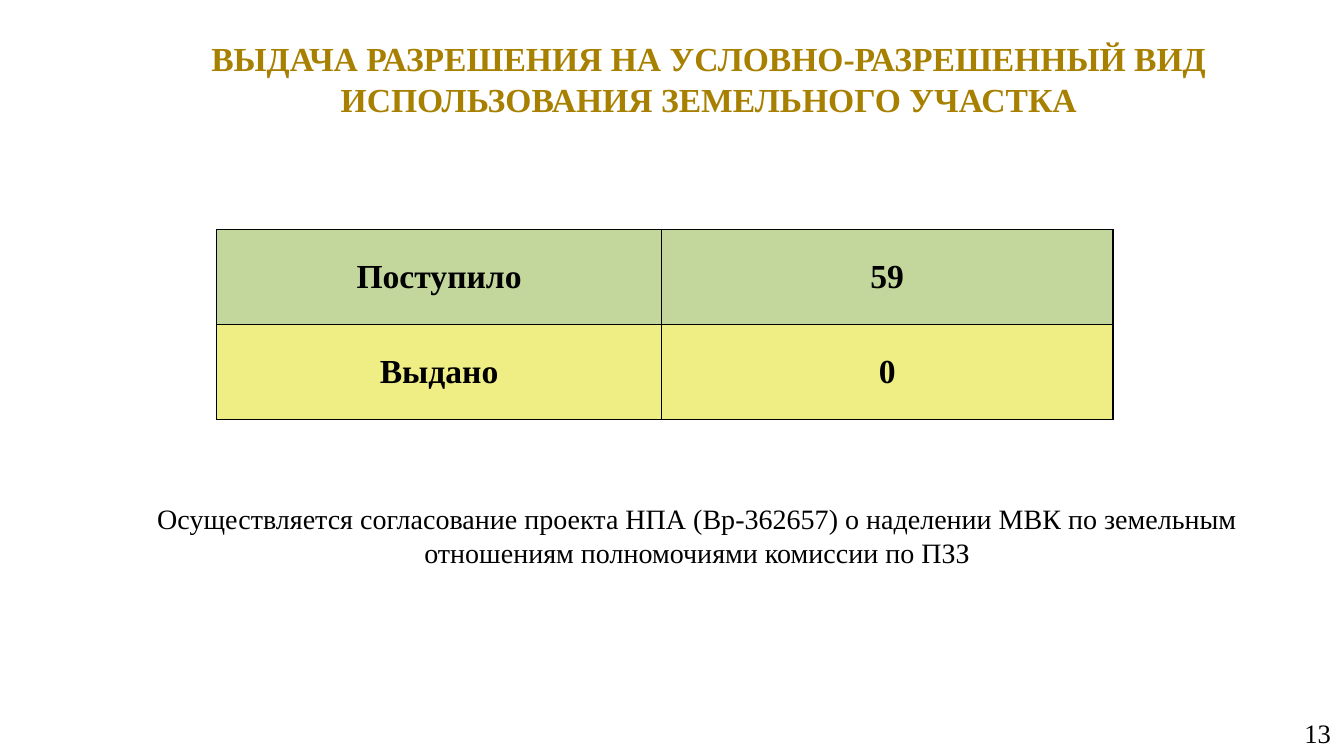
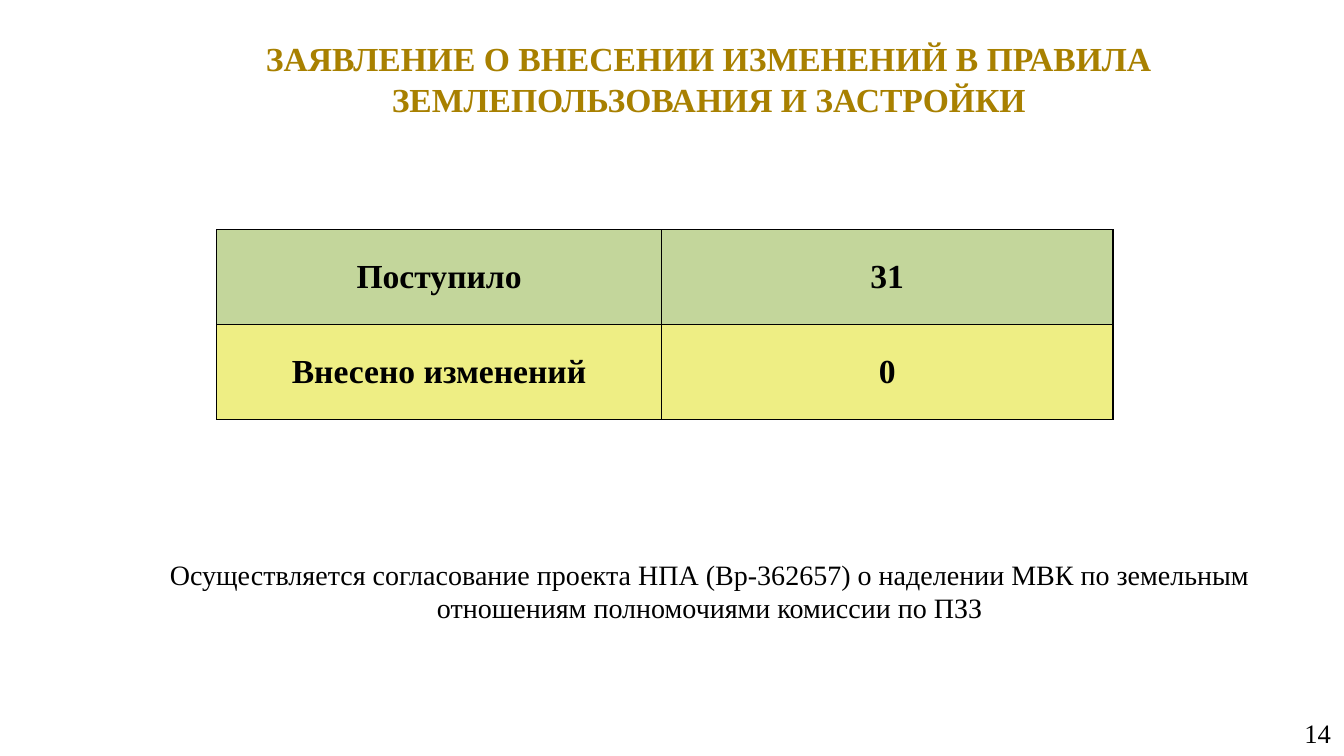
from lxml import etree
from pptx import Presentation
from pptx.dml.color import RGBColor
from pptx.enum.text import MSO_ANCHOR as ANCHOR, PP_ALIGN as ALIGN
from pptx.oxml.ns import qn
from pptx.util import Inches, Pt

# Shared style
FONT = "Times New Roman"
GOLD = RGBColor(0xA8, 0x80, 0x00)
BLACK = RGBColor(0x00, 0x00, 0x00)
GREEN = RGBColor(0xC3, 0xD6, 0x9B)
YELLOW = RGBColor(0xEE, 0xEE, 0x84)
TITLE_BOX = (1.31, 0.28, 11.44, 1)
NUMBER_BOX = (10.22, 7.07, 3.11, 0.4)
TABLE_BOX = (2.15, 2.28, 8.89, 1.88)
COL_WIDTHS = (4.41, 4.48)
BORDER = Pt(0.96)

NOTE = ("Осуществляется согласование проекта НПА (Вр-362657) о наделении МВК "
        "по земельным отношениям полномочиями комиссии по ПЗЗ")

# Number, title, table rows, note box
SLIDES = [
    (13, "ВЫДАЧА РАЗРЕШЕНИЯ НА УСЛОВНО-РАЗРЕШЕННЫЙ ВИД ИСПОЛЬЗОВАНИЯ ЗЕМЕЛЬНОГО УЧАСТКА",
     [("Поступило", "59"), ("Выдано", "0")], (0.96, 4.93, 11.91, 0.76)),
    (14, "ЗАЯВЛЕНИЕ О ВНЕСЕНИИ ИЗМЕНЕНИЙ В ПРАВИЛА ЗЕМЛЕПОЛЬЗОВАНИЯ И ЗАСТРОЙКИ",
     [("Поступило", "31"), ("Внесено изменений", "0")], (1.01, 4.97, 12.06, 1.78)),
]


def write(tf, text, size, color=BLACK, bold=False, align=ALIGN.CENTER):
    p = tf.paragraphs[0]
    p.alignment = align
    r = p.add_run()
    r.text = text
    r.font.name = FONT
    r.font.size = Pt(size)
    r.font.bold = bold
    r.font.color.rgb = color


def add_text(s, box, text, size, **style):
    tf = s.shapes.add_textbox(*map(Inches, box)).text_frame
    tf.word_wrap = True
    tf.vertical_anchor = ANCHOR.MIDDLE
    tf.margin_left = tf.margin_right = Inches(0.13)
    tf.margin_top = tf.margin_bottom = Inches(0.07)
    write(tf, text, size, **style)


prs = Presentation()
prs.slide_width, prs.slide_height = Inches(13.33), Inches(7.5)

for number, title, rows, note_box in SLIDES:
    s = prs.slides.add_slide(prs.slide_layouts[6])

    # Title and slide number
    add_text(s, TITLE_BOX, title, 24, color=GOLD, bold=True)
    add_text(s, NUMBER_BOX, str(number), 19, align=ALIGN.RIGHT)

    # Table of applications
    table = s.shapes.add_table(2, 2, *map(Inches, TABLE_BOX)).table
    table.first_row = table.horz_banding = False
    for col, width in zip(table.columns, COL_WIDTHS):
        col.width = Inches(width)
    for row, texts, fill in zip(table.rows, rows, (GREEN, YELLOW)):
        for cell, text in zip(row.cells, texts):
            cell.vertical_anchor = ANCHOR.MIDDLE
            cell.margin_left = cell.margin_right = Inches(0.13)
            cell.margin_top = cell.margin_bottom = Inches(0.05)
            write(cell.text_frame, text, 24, bold=True)
            # Borders come before the fill in the cell properties
            tcPr = cell._tc.get_or_add_tcPr()
            for side in ("a:lnL", "a:lnR", "a:lnT", "a:lnB"):
                ln = etree.SubElement(tcPr, qn(side), w=str(BORDER))
                solid = etree.SubElement(ln, qn("a:solidFill"))
                etree.SubElement(solid, qn("a:srgbClr"), val=str(BLACK))
            cell.fill.solid()
            cell.fill.fore_color.rgb = fill

    # Note under the table
    add_text(s, note_box, NOTE, 20)

prs.save("out.pptx")
